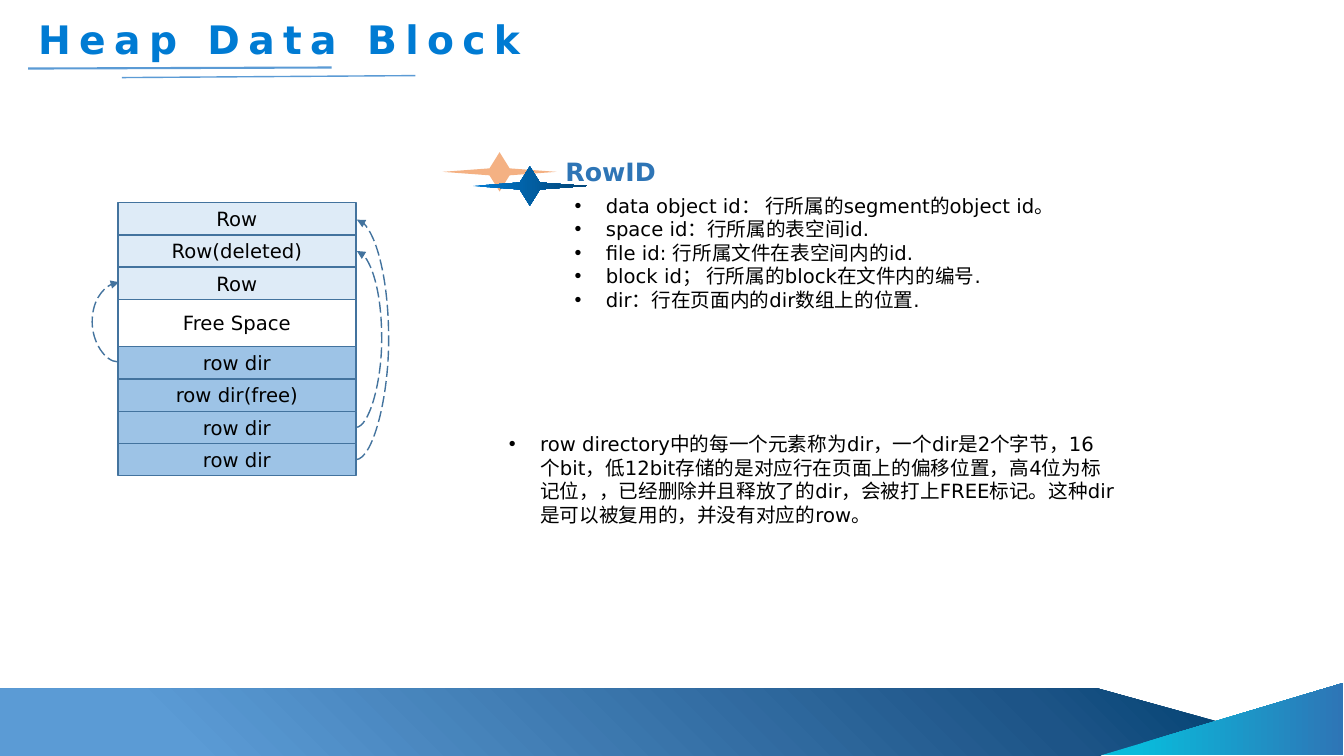
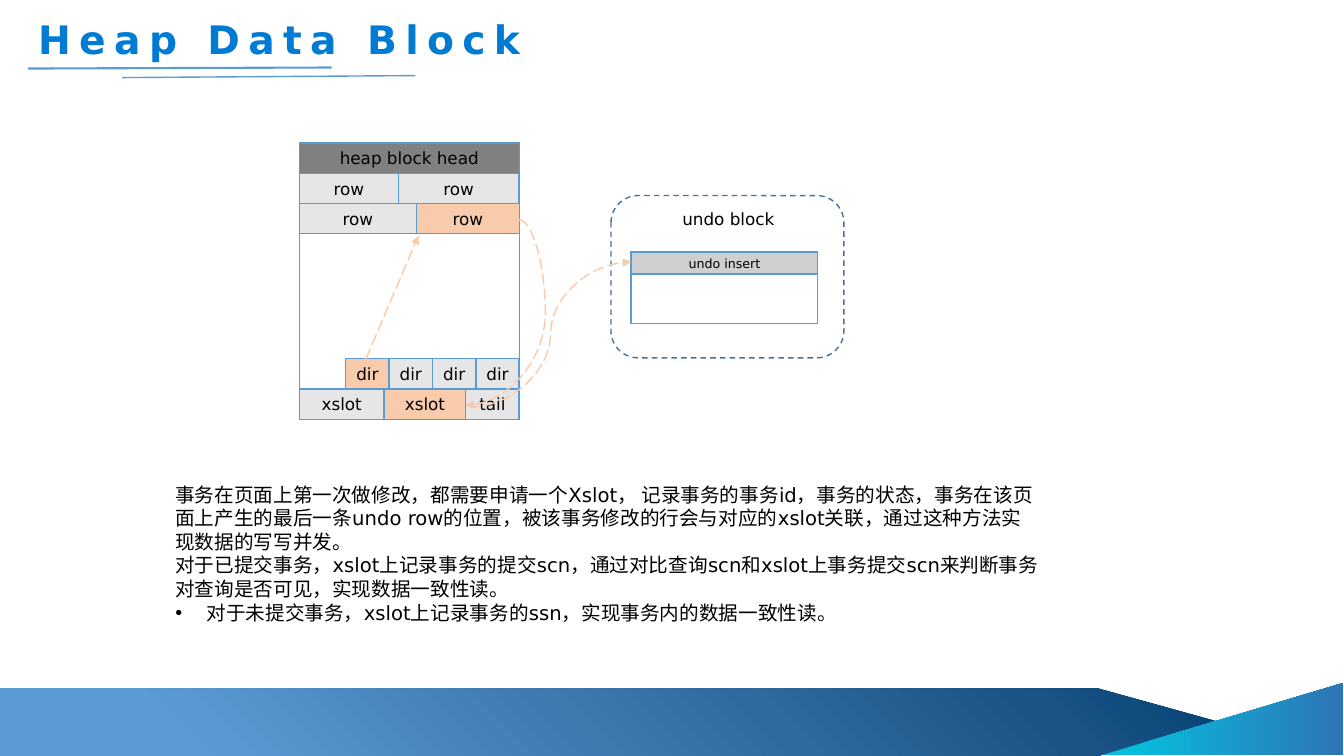
from pptx import Presentation
from pptx.dml.color import RGBColor
from pptx.enum import dml, shapes, text
from pptx.oxml import parse_xml
from pptx.oxml import ns
from pptx.util import Inches, Pt

FONT = "DejaVu Sans"
BLACK = RGBColor(0x00, 0x00, 0x00)
WHITE = RGBColor(0xFF, 0xFF, 0xFF)
TITLE_BLUE = RGBColor(0x00, 0x7B, 0xD3)
NAVY = RGBColor(0x03, 0x43, 0x73)
DEEP_BLUE = RGBColor(0x1D, 0x54, 0x87)
HEADING_BLUE = RGBColor(0x2E, 0x75, 0xB6)
LINE_BLUE = RGBColor(0x5B, 0x9B, 0xD5)
STEEL = RGBColor(0x43, 0x73, 0x9E)
CYAN = RGBColor(0x09, 0xBB, 0xDB)
PALE_BLUE = RGBColor(0xDE, 0xEB, 0xF7)
SOFT_BLUE = RGBColor(0x9D, 0xC3, 0xE6)
ORANGE = RGBColor(0xF4, 0xB1, 0x83)
PEACH = RGBColor(0xF8, 0xCB, 0xAD)
LIGHT_GREY = RGBColor(0xE7, 0xE6, 0xE6)
MID_GREY = RGBColor(0xD0, 0xCE, 0xCE)
DARK_GREY = RGBColor(0x80, 0x80, 0x80)

SHAPE = shapes.MSO_SHAPE
LINEAR = '<a:lin ang="{}" scaled="0"/>'
FROM_BOTTOM_LEFT = '<a:path path="circle"><a:fillToRect t="100000" r="100000"/></a:path>'
ROW_ID_PARTS = [
    "data object id： 行所属的segment的object id。",
    "space id：行所属的表空间id.",
    "file id: 行所属文件在表空间内的id.",
    "block id； 行所属的block在文件内的编号.",
    "dir：行在页面内的dir数组上的位置.",
]
ROW_DIRECTORY = (
    "row directory中的每一个元素称为dir，一个dir是2个字节，16 个bit，"
    "低12bit存储的是对应行在页面上的偏移位置，高4位为标记位，，已经删除并且释放了的dir，"
    "会被打上FREE标记。这种dir是可以被复用的，并没有对应的row。"
)
TRANSACTION_NOTES = [
    "事务在页面上第一次做修改，都需要申请一个Xslot， 记录事务的事务id，事务的状态，"
    "事务在该页面上产生的最后一条undo row的位置，被该事务修改的行会与对应的xslot关联，"
    "通过这种方法实现数据的写写并发。",
    "对于已提交事务，xslot上记录事务的提交scn，通过对比查询scn和xslot上事务提交scn"
    "来判断事务对查询是否可见，实现数据一致性读。",
]
OPEN_TRANSACTION_NOTE = "对于未提交事务，xslot上记录事务的ssn，实现事务内的数据一致性读。"


def drawing_xml(markup):
    tag = markup[1:].split(" ")[0].split(">")[0].rstrip("/")
    return parse_xml(markup.replace(tag, f"{tag} {ns.nsdecls('a')}", 1))


def set_font(paragraph, size, color=BLACK, bold=False):
    font = paragraph.font
    font.name, font.size, font.bold = FONT, Pt(size), bold
    font.color.rgb = color


def add_box(slide, kind, left, top, width, height, fill=None, line=None):
    shape = slide.shapes.add_shape(
        kind, Inches(left), Inches(top), Inches(width), Inches(height))
    shape.shadow.inherit = False
    if fill is not None:
        shape.fill.solid()
        shape.fill.fore_color.rgb = fill
    if line is None:
        shape.line.fill.background()
    else:
        shape.line.color.rgb = line
        shape.line.width = Pt(1)
    return shape


def fill_gradient(shape, stops, direction):
    stop_list = "".join(
        f'<a:gs pos="{position * 1000}"><a:srgbClr val="{color}"/></a:gs>'
        for position, color in stops)
    gradient = drawing_xml(
        f'<a:gradFill rotWithShape="1"><a:gsLst>{stop_list}</a:gsLst>{direction}</a:gradFill>')
    shape._element.spPr.find(ns.qn("a:prstGeom")).addnext(gradient)


def add_cell(slide, label, left, top, width, height, fill, line, size):
    cell = add_box(slide, SHAPE.RECTANGLE, left, top, width, height, fill, line)
    frame = cell.text_frame
    frame.margin_left = frame.margin_right = frame.margin_top = frame.margin_bottom = 0
    frame.vertical_anchor = text.MSO_ANCHOR.MIDDLE
    paragraph = frame.paragraphs[0]
    paragraph.text = label
    paragraph.alignment = text.PP_ALIGN.CENTER
    set_font(paragraph, size)


def add_text(slide, left, top, width, height, lines=(), bullets=(), size=14,
             color=BLACK, bold=False, align=text.PP_ALIGN.LEFT):
    box = slide.shapes.add_textbox(Inches(left), Inches(top), Inches(width), Inches(height))
    frame = box.text_frame
    frame.word_wrap = True
    for index, content in enumerate([*lines, *bullets]):
        paragraph = frame.add_paragraph() if index else frame.paragraphs[0]
        paragraph.text = content
        paragraph.alignment = align
        if index >= len(lines):
            properties = paragraph._p.get_or_add_pPr()
            properties.set("marL", str(Inches(0.31)))
            properties.set("indent", str(-Inches(0.31)))
            properties.append(drawing_xml('<a:buFont typeface="Arial"/>'))
            properties.append(drawing_xml('<a:buChar char="•"/>'))
        set_font(paragraph, size, color, bold)
    return frame


def add_line(slide, start, end, color, width=1, kind=shapes.MSO_CONNECTOR.STRAIGHT, arrow=False):
    connector = slide.shapes.add_connector(kind, *map(Inches, (*start, *end)))
    connector.line.color.rgb = color
    connector.line.width = Pt(width)
    properties = connector._element.spPr
    if arrow:
        connector.line.dash_style = dml.MSO_LINE.LONG_DASH
        properties.find(ns.qn("a:ln")).append(drawing_xml('<a:tailEnd type="triangle"/>'))
    properties.append(drawing_xml("<a:effectLst/>"))
    return connector


def add_curve(slide, start, end, bend, color):
    connector = add_line(slide, start, end, color, kind=shapes.MSO_CONNECTOR.CURVE, arrow=True)
    ratio = round((bend - start[0]) / (end[0] - start[0]) * 100000)
    guides = connector._element.spPr.find(ns.qn("a:prstGeom")).find(ns.qn("a:avLst"))
    guides.append(drawing_xml(f'<a:gd name="adj1" fmla="val {ratio}"/>'))


def add_frame(slide, title):
    band = add_box(slide, SHAPE.PENTAGON, 0, 6.83, 12.1, 0.67)
    band.adjustments[0] = 1.81
    fill_gradient(band, [(15, LINE_BLUE), (84, DEEP_BLUE), (100, NAVY)], FROM_BOTTOM_LEFT)
    corner = add_box(slide, SHAPE.RIGHT_TRIANGLE, 11.76, 5.93, 0.72, 2.41)
    corner.rotation = 270
    fill_gradient(corner, [(15, CYAN), (100, HEADING_BLUE)], LINEAR.format(5400000))

    frame = add_text(slide, 0.28, 0.1, 5.03, 0.57, [title], size=28, color=TITLE_BLUE, bold=True)
    frame.word_wrap = False
    frame.vertical_anchor = text.MSO_ANCHOR.MIDDLE
    frame.paragraphs[0].runs[0]._r.get_or_add_rPr().set("spc", "600")
    add_line(slide, (0.28, 0.68), (3.29, 0.67), LINE_BLUE, 1.5)
    add_line(slide, (1.21, 0.77), (4.12, 0.75), LINE_BLUE)


def build_row_directory(slide):
    add_text(slide, 5.6, 1.87, 5.95, 1.28, bullets=ROW_ID_PARTS)
    add_box(slide, SHAPE.STAR_4_POINT, 4.39, 1.51, 1.13, 0.39, ORANGE)
    add_text(slide, 5.51, 1.5, 3.13, 0.4, ["RowID"], size=18, color=HEADING_BLUE, bold=True)
    star = add_box(slide, SHAPE.STAR_4_POINT, 4.69, 1.65, 1.13, 0.39)
    fill_gradient(star, [(0, TITLE_BLUE), (100, NAVY)], LINEAR.format(0))

    top = 2.01
    for label, height, fill in [
        ("Row", 0.32, PALE_BLUE),
        ("Row(deleted)", 0.32, PALE_BLUE),
        ("Row", 0.32, PALE_BLUE),
        ("Free Space", 0.47, WHITE),
        ("row dir", 0.32, SOFT_BLUE),
        ("row dir(free)", 0.32, SOFT_BLUE),
        ("row dir", 0.32, SOFT_BLUE),
        ("row dir", 0.32, SOFT_BLUE),
    ]:
        add_cell(slide, label, 1.17, top, 2.36, height, fill, STEEL, 14)
        top += height

    for edge, start, end, bend in [
        (3.53, 4.56, 2.18, 3.86),
        (3.53, 4.24, 2.49, 3.79),
        (1.17, 3.59, 2.8, 0.91),
    ]:
        add_curve(slide, (edge, start), (edge + 0.01, end), bend, STEEL)
    add_text(slide, 4.95, 4.24, 6.2, 1.04, bullets=[ROW_DIRECTORY])


def build_transaction_slots(slide):
    add_box(slide, SHAPE.RECTANGLE, 2.97, 1.42, 2.18, 2.74, WHITE, LINE_BLUE)
    for left, top, cells in [
        (2.97, 1.42, [("heap block head", 2.18, DARK_GREY)]),
        (2.97, 1.72, [("row", 0.98, LIGHT_GREY), ("row", 1.2, LIGHT_GREY)]),
        (2.97, 2.02, [("row", 1.16, LIGHT_GREY), ("row", 1.02, PEACH)]),
        (3.43, 3.56, [("dir", 0.43, PEACH)] + [("dir", 0.43, LIGHT_GREY)] * 3),
        (2.97, 3.86, [("xslot", 0.84, LIGHT_GREY), ("xslot", 0.81, PEACH),
                      ("tail", 0.53, LIGHT_GREY)]),
    ]:
        for label, width, fill in cells:
            add_cell(slide, label, left, top, width, 0.3, fill, LINE_BLUE, 12)
            left += width

    undo_block = add_box(slide, SHAPE.ROUNDED_RECTANGLE, 6.06, 1.94, 2.31, 1.61, WHITE, STEEL)
    undo_block.line.dash_style = dml.MSO_LINE.DASH
    add_box(slide, SHAPE.RECTANGLE, 6.26, 2.5, 1.85, 0.71, WHITE, LINE_BLUE)
    add_cell(slide, "undo insert", 6.26, 2.5, 1.85, 0.22, MID_GREY, LINE_BLUE, 9)
    add_text(slide, 6.41, 2.02, 1.63, 0.3, ["undo block"], size=12, align=text.PP_ALIGN.CENTER)

    add_line(slide, (3.63, 3.56), (4.15, 2.34), PEACH, arrow=True)
    add_curve(slide, (5.15, 2.18), (4.62, 4.02), 5.41, PEACH)
    add_curve(slide, (4.66, 4.04), (6.26, 2.6), 5.46, PEACH)
    add_text(slide, 1.64, 4.74, 8.76, 1.51, TRANSACTION_NOTES, [OPEN_TRANSACTION_NOTE])


def main():
    presentation = Presentation()
    presentation.slide_width = Inches(13.33)
    presentation.slide_height = Inches(7.5)
    for build in (build_row_directory, build_transaction_slots):
        slide = presentation.slides.add_slide(presentation.slide_layouts[6])
        add_frame(slide, "Heap Data Block")
        build(slide)
    presentation.save("out.pptx")


if __name__ == "__main__":
    main()
